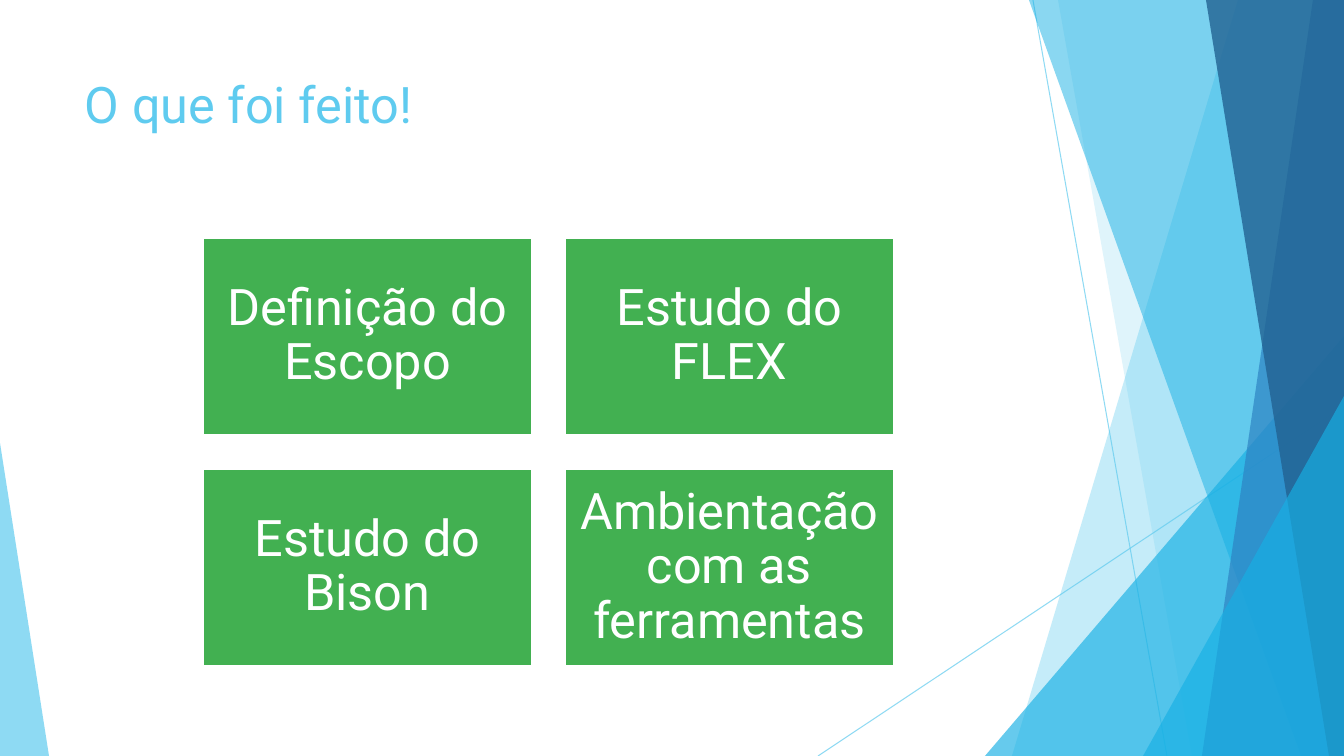
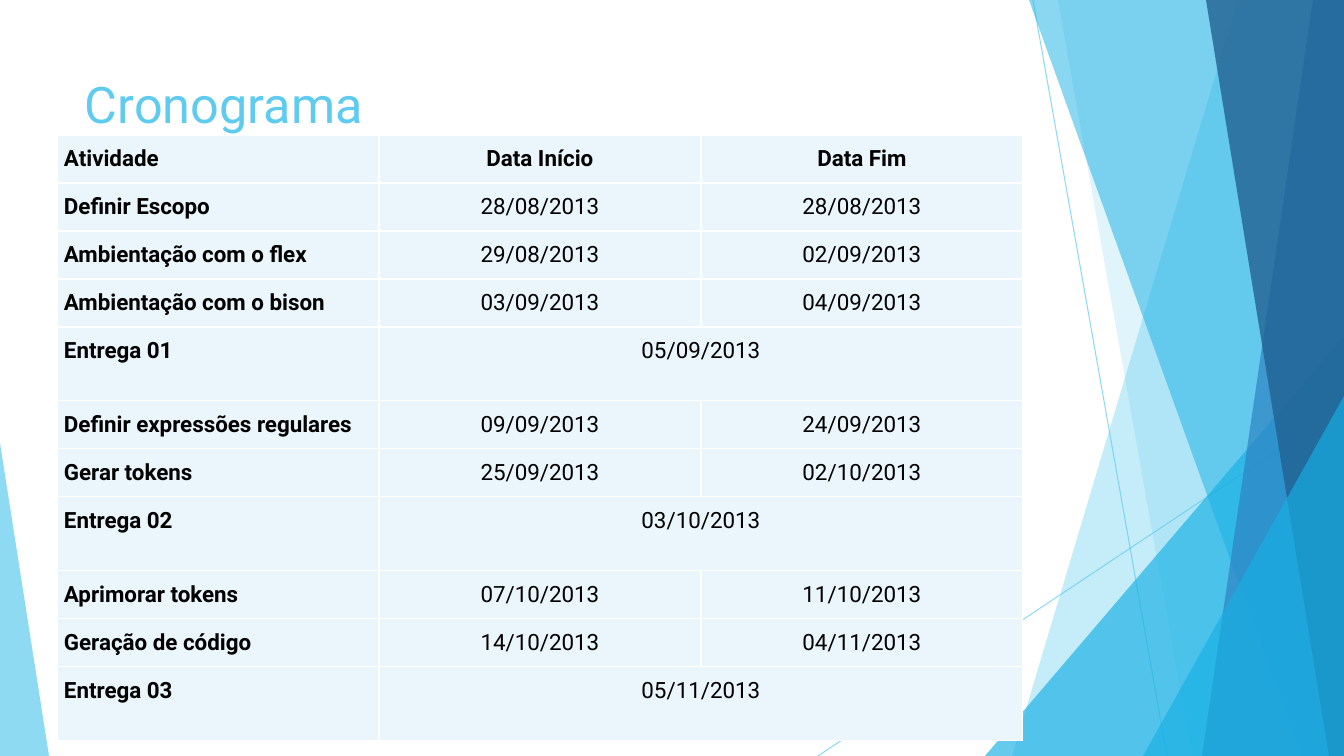
from lxml import etree
from pptx import Presentation, util as u
from pptx.dml.color import RGBColor
from pptx.enum import shapes, text
from pptx.oxml.ns import qn

WIDTH, HEIGHT = 1344, 756
SCALE = 12192000 / WIDTH
FONT = "Roboto"

SKY = RGBColor(0x5F, 0xCB, 0xEF)
CYAN = RGBColor(0x17, 0xB0, 0xE4)
BLUE = RGBColor(0x2E, 0x83, 0xC3)
NAVY = RGBColor(0x22, 0x62, 0x92)
GREEN = RGBColor(0x42, 0xB0, 0x51)
PALE = RGBColor(0xEA, 0xF6, 0xFC)
WHITE = RGBColor(0xFF, 0xFF, 0xFF)
BLACK = RGBColor(0x00, 0x00, 0x00)

LEFT, CENTER = text.PP_ALIGN.LEFT, text.PP_ALIGN.CENTER
TOP, MIDDLE = text.MSO_ANCHOR.TOP, text.MSO_ANCHOR.MIDDLE

# Ribbons: top left x, bottom left x, top right x is the slide edge
RIBBONS_BACK = [(1238, 1012, SKY, 36), (1058, 1192, SKY, 20)]
RIBBONS_FRONT = [(1029, 1301, CYAN, 50), (1313, 1202, BLUE, 70), (1206, 1329, NAVY, 80)]

DONE = ["Definição do Escopo", "Estudo do FLEX",
        "Estudo do Bison", "Ambientação com as ferramentas"]

# A row with a single date is a delivery, whose date spans both date columns
SCHEDULE = [
    ("Atividade", "Data Início", "Data Fim"),
    ("Definir Escopo", "28/08/2013", "28/08/2013"),
    ("Ambientação com o flex", "29/08/2013", "02/09/2013"),
    ("Ambientação com o bison", "03/09/2013", "04/09/2013"),
    ("Entrega 01", "05/09/2013"),
    ("Definir expressões regulares", "09/09/2013", "24/09/2013"),
    ("Gerar tokens", "25/09/2013", "02/10/2013"),
    ("Entrega 02", "03/10/2013"),
    ("Aprimorar tokens", "07/10/2013", "11/10/2013"),
    ("Geração de código", "14/10/2013", "04/11/2013"),
    ("Entrega 03", "05/11/2013"),
]


def px(*lengths):
    """Turn pixels into a list of EMU lengths."""
    return [u.Emu(round(length * SCALE)) for length in lengths]


def set_opacity(shape, percent):
    """Make the first colour of a shape partly transparent."""
    colour = shape.element.spPr.find(".//" + qn("a:srgbClr"))
    etree.SubElement(colour, qn("a:alpha"), val=str(percent * 1000))


def style_facet(shape, colour, opacity):
    """Give a background facet its translucent fill and no outline."""
    shape.shadow.inherit = False
    shape.fill.solid()
    shape.fill.fore_color.rgb = colour
    shape.line.fill.background()
    set_opacity(shape, opacity)


def add_ribbon(slide, top_x, bottom_x, colour, opacity):
    """Add a full-height facet that reaches the right edge of the slide."""
    builder = slide.shapes.build_freeform(top_x, 0, scale=SCALE)
    builder.add_line_segments([(WIDTH, 0), (WIDTH, HEIGHT), (bottom_x, HEIGHT)])
    style_facet(builder.convert_to_shape(), colour, opacity)


def add_triangle(slide, left, top, right, apex, colour, opacity):
    """Add a facet that stands on the bottom edge, with its apex at 0 to 1."""
    shape = slide.shapes.add_shape(shapes.MSO_SHAPE.ISOSCELES_TRIANGLE,
                                   *px(left, top, right - left, HEIGHT - top))
    shape.adjustments[0] = apex
    style_facet(shape, colour, opacity)


def add_thin_line(slide, *ends):
    """Add a fine translucent line."""
    line = slide.shapes.add_connector(shapes.MSO_CONNECTOR.STRAIGHT, *px(*ends))
    line.line.color.rgb = SKY
    line.line.width = u.Pt(0.75)
    set_opacity(line, 70)
    etree.SubElement(line.element.spPr, qn("a:effectLst"))


def write(frame, words, size, colour, align=LEFT, spacing=1.0, bold=False):
    """Write one formatted paragraph into a text frame."""
    frame.text = words
    frame.word_wrap = True
    paragraph = frame.paragraphs[0]
    paragraph.alignment = align
    paragraph.line_spacing = spacing
    font = paragraph.runs[0].font
    font.name, font.size, font.bold = FONT, u.Pt(size), bold
    font.color.rgb = colour


def set_margins(target, margin):
    """Set equal margins on a text frame or a cell."""
    (target.margin_left, target.margin_top,
     target.margin_right, target.margin_bottom) = px(*[margin] * 4)


def add_base_slide(presentation, title):
    """Add a slide with the shared facets and title."""
    slide = presentation.slides.add_slide(presentation.slide_layouts[6])
    add_thin_line(slide, 1033, 0, 1167, HEIGHT)
    add_thin_line(slide, WIDTH, 406, 818, HEIGHT)
    for ribbon in RIBBONS_BACK:
        add_ribbon(slide, *ribbon)
    add_triangle(slide, 985, 336, WIDTH, 1, CYAN, 66)
    for ribbon in RIBBONS_FRONT:
        add_ribbon(slide, *ribbon)
    add_triangle(slide, 1143, 396, WIDTH, 1, CYAN, 66)
    add_triangle(slide, 0, 443, 49, 0, SKY, 70)
    frame = slide.shapes.add_textbox(*px(75, 68, 948, 145)).text_frame
    frame.vertical_anchor = TOP
    write(frame, title, 36, SKY)
    return slide


def add_box(slide, left, top, words):
    """Add a green box with centred text."""
    box = slide.shapes.add_shape(shapes.MSO_SHAPE.RECTANGLE, *px(left, top, 329, 197))
    box.shadow.inherit = False
    box.fill.solid()
    box.fill.fore_color.rgb = GREEN
    box.line.color.rgb = WHITE
    box.line.width = u.Pt(1.5)
    set_margins(box.text_frame, 15)
    box.text_frame.vertical_anchor = MIDDLE
    write(box.text_frame, words, 36, WHITE, CENTER, 0.9)


def style_cell(cell):
    """Give a cell white borders, a pale fill and even margins."""
    properties = cell._tc.get_or_add_tcPr()
    for side in ("a:lnL", "a:lnR", "a:lnT", "a:lnB"):
        border = etree.SubElement(properties, qn(side), w=str(u.Pt(1)))
        fill = etree.SubElement(border, qn("a:solidFill"))
        etree.SubElement(fill, qn("a:srgbClr"), val=str(WHITE))
    cell.fill.solid()
    cell.fill.fore_color.rgb = PALE
    set_margins(cell, 7)
    cell.vertical_anchor = TOP


def add_schedule(slide, left, top, column_width):
    """Add the schedule table, with taller rows for deliveries."""
    heights = [74 if len(row) == 2 else 48 for row in SCHEDULE]
    table = slide.shapes.add_table(
        len(SCHEDULE), 3, *px(left, top, 3 * column_width, sum(heights))).table
    table.first_row = table.horz_banding = False
    for column in table.columns:
        column.width = px(column_width)[0]
    for i, (entries, height) in enumerate(zip(SCHEDULE, heights)):
        table.rows[i].height = px(height)[0]
        for cell in table.rows[i].cells:
            style_cell(cell)
        if len(entries) == 2:
            table.cell(i, 1).merge(table.cell(i, 2))
        for j, words in enumerate(entries):
            write(table.cell(i, j).text_frame, words, 16, BLACK,
                  CENTER if j else LEFT, 1.15, bold=i == 0 or j == 0)


def main():
    """Build and save the presentation."""
    presentation = Presentation()
    presentation.slide_width, presentation.slide_height = px(WIDTH, HEIGHT)

    slide = add_base_slide(presentation, "O que foi feito!")
    for i, words in enumerate(DONE):
        row, column = divmod(i, 2)
        add_box(slide, 203 + 362 * column, 238 + 231 * row, words)

    slide = add_base_slide(presentation, "Cronograma")
    add_schedule(slide, 57, 135, 322)

    presentation.save("out.pptx")


main()
